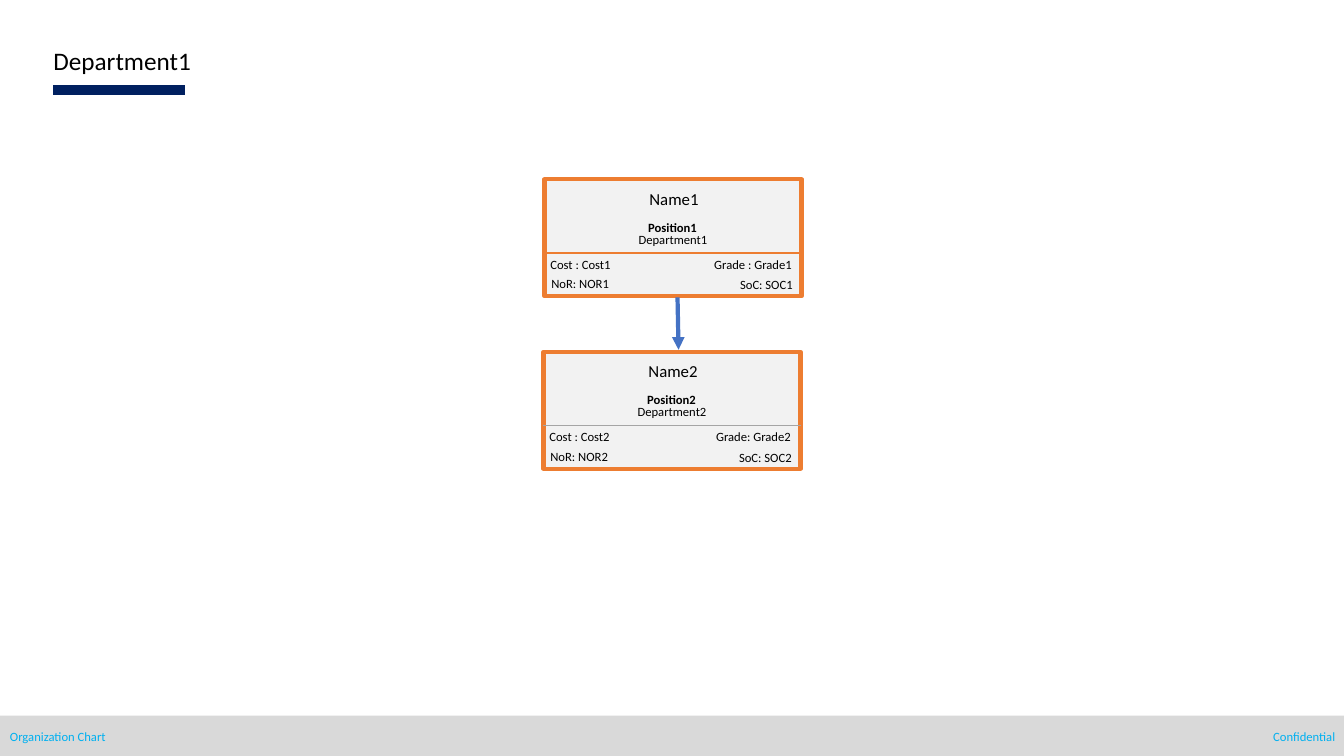
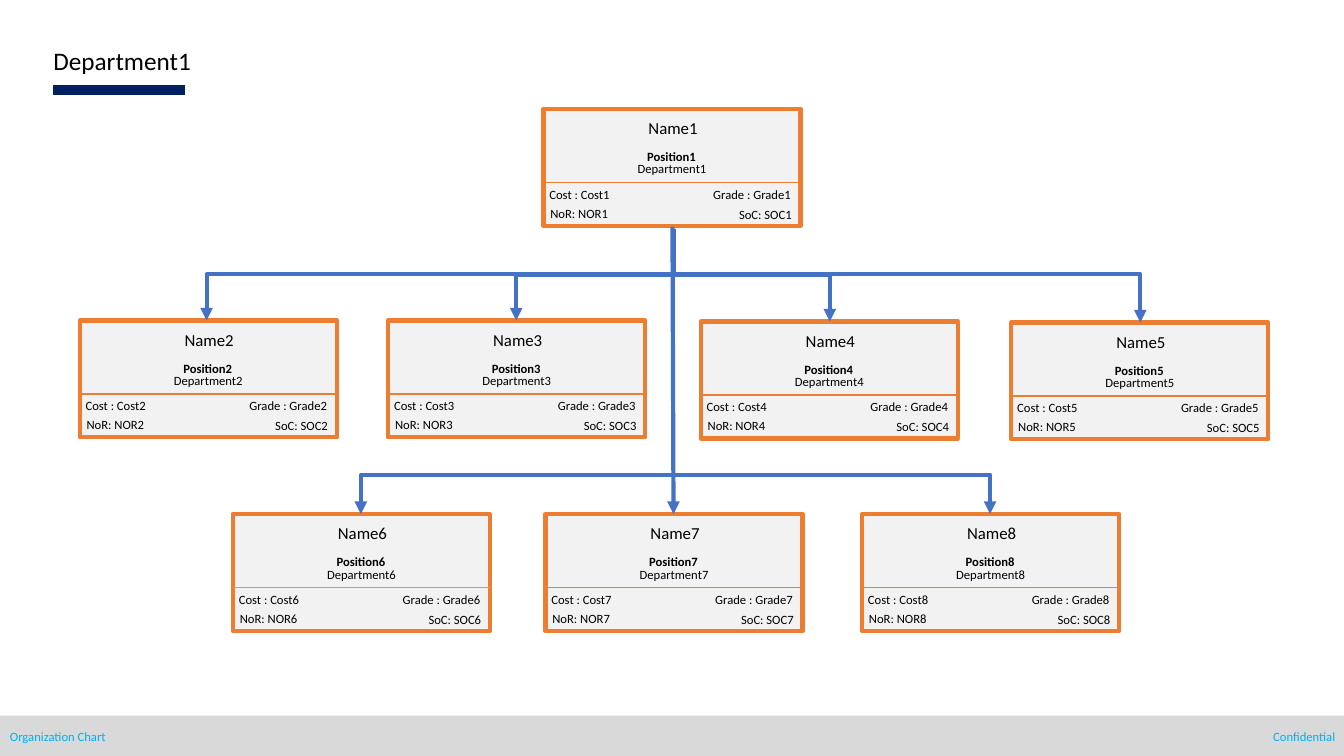
from pptx import Presentation
from pptx.dml.color import RGBColor
from pptx.enum.shapes import MSO_CONNECTOR as CONNECTOR, MSO_SHAPE as SHAPE
from pptx.enum.text import MSO_ANCHOR as ANCHOR, MSO_AUTO_SIZE as AUTO_SIZE, PP_ALIGN as ALIGN
from pptx.oxml.ns import qn
from pptx.util import Pt
from lxml.etree import SubElement

PX = 9144  # EMU per px, 100 px to the inch
SLIDE_W, SLIDE_H = 1333, 750
FONT = "Calibri"

BLACK = RGBColor(0x00, 0x00, 0x00)
NAVY = RGBColor(0x00, 0x20, 0x60)
SKY = RGBColor(0x00, 0xB0, 0xF0)
BLUE = RGBColor(0x44, 0x72, 0xC4)
ORANGE = RGBColor(0xED, 0x7D, 0x31)
GREY = RGBColor(0xA5, 0xA5, 0xA5)
FOOTER_GREY = RGBColor(0xD9, 0xD9, 0xD9)
CARD_GREY = RGBColor(0xF2, 0xF2, 0xF2)

FOOTERS = [("Organization Chart", 0, ALIGN.LEFT), ("Confidential", 1026, ALIGN.RIGHT)]

CARD_W, CARD_H, DIVIDER_Y = 255, 116, 73
ORANGE_DIVIDER, GREY_DIVIDER = (ORANGE, 1), (GREY, 0.5)
# text, box within the card, alignment, size, bold
CARD_FIELDS = [
    ("Name{n}", (1, 4, 255, 30), ALIGN.CENTER, 12, False),
    ("Position{n}", (0, 35, 254, 25), ALIGN.CENTER, 9, True),
    ("Department{n}", (1, 47, 253, 25), ALIGN.CENTER, 9, False),
    ("Cost : Cost{n}", (-4, 72, 158, 25), ALIGN.LEFT, 9, False),
    ("{grade} Grade{n}", (133, 72, 122, 25), ALIGN.RIGHT, 9, False),
    ("NoR: NOR{n}", (-3, 91, 79, 25), ALIGN.LEFT, 9, False),
    ("SoC: SOC{n}", (154, 92, 102, 25), ALIGN.RIGHT, 9, False),
]

# cards: number, left, top, grade label, divider
# lines: start, end, has arrowhead; branches: start, end
SLIDES = [
    {
        "title": "Department1",
        "cards": [
            (1, 540, 178, "Grade :", ORANGE_DIVIDER),
            (2, 539, 349, "Grade:", GREY_DIVIDER),
        ],
        "lines": [((672, 295), (673, 347), True)],
        "branches": [],
    },
    {
        "title": "Department1",
        "cards": [
            (1, 539, 108, "Grade :", ORANGE_DIVIDER),
            (2, 79, 318, "Grade :", ORANGE_DIVIDER),
            (3, 385, 318, "Grade :", ORANGE_DIVIDER),
            (4, 695, 319, "Grade :", ORANGE_DIVIDER),
            (5, 1003, 320, "Grade :", ORANGE_DIVIDER),
            (6, 231, 510, "Grade :", GREY_DIVIDER),
            (7, 541, 510, "Grade :", ORANGE_DIVIDER),
            (8, 855, 510, "Grade :", ORANGE_DIVIDER),
        ],
        "lines": [((668, 227), (668, 272), False), ((667, 225), (668, 510), True)],
        "branches": [
            ((668, 272), (205, 318)),
            ((667, 273), (512, 318)),
            ((669, 273), (823, 319)),
            ((636, 272), (1131, 320)),
            ((669, 471), (358, 510)),
            ((668, 471), (982, 510)),
        ],
    },
]


def emu(*lengths):
    return [length * PX for length in lengths]


def write(paragraph, text, size, color, align, bold=False):
    paragraph.alignment = align
    run = paragraph.add_run()
    run.text = text
    run.font.name = FONT
    run.font.size = Pt(size)
    run.font.bold = bold
    run.font.color.rgb = color


def add_text(slide, text, box, align, size, color=BLACK, bold=False):
    shape = slide.shapes.add_textbox(*emu(*box))
    frame = shape.text_frame
    frame.word_wrap = True
    frame.auto_size = AUTO_SIZE.SHAPE_TO_FIT_TEXT
    write(frame.paragraphs[0], text, size, color, align, bold)
    return shape


def add_rectangle(slide, box, fill, line=None):
    shape = slide.shapes.add_shape(SHAPE.RECTANGLE, *emu(*box))
    shape.shadow.inherit = False
    shape.fill.solid()
    shape.fill.fore_color.rgb = fill
    if line:
        shape.line.color.rgb = line
        shape.line.width = Pt(3)
    else:
        shape.line.fill.background()
    return shape


def add_line(slide, start, end, color, width, arrow=False, kind=CONNECTOR.STRAIGHT):
    connector = slide.shapes.add_connector(kind, *emu(*start, *end))
    connector.line.color.rgb = color
    connector.line.width = Pt(width)
    properties = connector.element.spPr
    if arrow:
        SubElement(properties.find(qn("a:ln")), qn("a:tailEnd"), type="triangle")
    SubElement(properties, qn("a:effectLst"))
    return connector


def add_branch(slide, start, end):
    """Draw an arrow that runs sideways, then turns down once."""
    connector = add_line(slide, start, end, BLUE, 3, True, CONNECTOR.ELBOW)
    connector.element.spPr.find(qn("a:prstGeom")).set("prst", "bentConnector2")


def add_card(slide, number, left, top, grade, divider):
    add_rectangle(slide, (left, top, CARD_W, CARD_H), CARD_GREY, ORANGE)
    divider_y = top + DIVIDER_Y
    add_line(slide, (left, divider_y), (left + CARD_W, divider_y), *divider)
    for text, (x, y, width, height), align, size, bold in CARD_FIELDS:
        add_text(slide, text.format(n=number, grade=grade),
                 (left + x, top + y, width, height), align, size, bold=bold)


def prepare_layout(layout):
    """Place the layout's title and drop its other placeholders."""
    for placeholder in list(layout.placeholders):
        if placeholder.placeholder_format.idx:
            placeholder.element.getparent().remove(placeholder.element)
            continue
        placeholder.left, placeholder.top, placeholder.width, placeholder.height = emu(43, 40, 530, 41)
        placeholder.text_frame.vertical_anchor = ANCHOR.TOP


def move_frame_to_layout(slide):
    """Draw the title bar and footer, then hand them to the layout for all slides."""
    parts = [
        add_line(slide, (53, 89), (184, 89), NAVY, 7),
        add_rectangle(slide, (0, 710, SLIDE_W, 41), FOOTER_GREY),
    ]
    for text, left, align in FOOTERS:
        parts.append(add_text(slide, text, (left, 718, 308, 25), align, 9, SKY))
    for part in parts:
        slide.slide_layout.shapes.element.append(part.element)


def main():
    presentation = Presentation()
    presentation.slide_width, presentation.slide_height = emu(SLIDE_W, SLIDE_H)
    layout = presentation.slide_layouts[5]
    prepare_layout(layout)
    for index, content in enumerate(SLIDES):
        slide = presentation.slides.add_slide(layout)
        if index == 0:
            move_frame_to_layout(slide)
        title = slide.shapes.title.text_frame
        write(title.paragraphs[0], content["title"], 18, BLACK, ALIGN.LEFT)
        for card in content["cards"]:
            add_card(slide, *card)
        for start, end, arrow in content["lines"]:
            add_line(slide, start, end, BLUE, 3, arrow)
        for start, end in content["branches"]:
            add_branch(slide, start, end)
    presentation.save("out.pptx")


if __name__ == "__main__":
    main()
